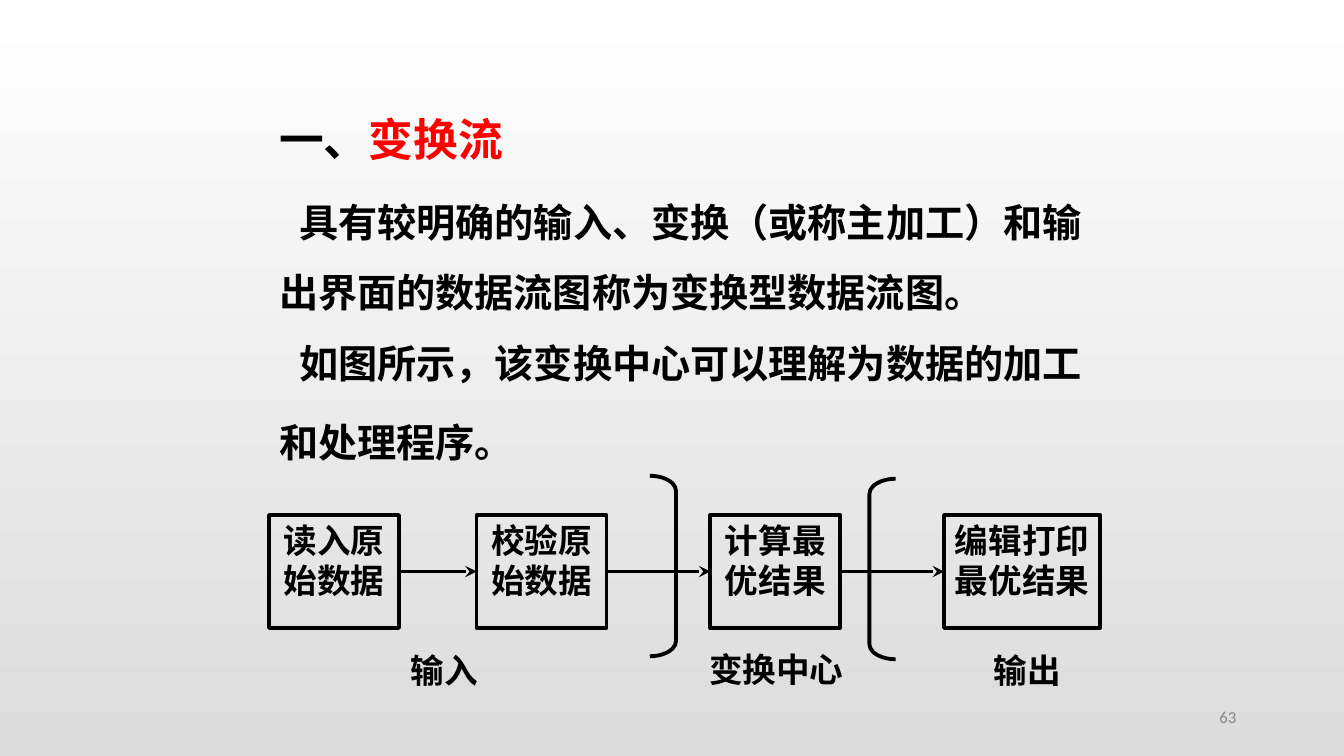
from dataclasses import dataclass

from lxml.etree import SubElement
from pptx import Presentation
from pptx.dml.color import RGBColor
from pptx.enum.shapes import MSO_CONNECTOR, MSO_SHAPE
from pptx.enum.text import MSO_ANCHOR, MSO_AUTO_SIZE, PP_ALIGN
from pptx.oxml.ns import qn
from pptx.util import Inches, Pt


@dataclass(frozen=True)
class Theme:
    ink: RGBColor = RGBColor(0, 0, 0)
    accent: RGBColor = RGBColor(0xFF, 0, 0)
    muted: RGBColor = RGBColor(0x89, 0x89, 0x89)
    backdrop: tuple = (RGBColor(0xFF, 0xFF, 0xFF), RGBColor(0xDC, 0xDC, 0xDC))
    text_font: str = "Times New Roman"
    number_font: str = "Calibri"
    heading: int = 32
    body: int = 28
    diagram: int = 24
    number: int = 12
    stroke: float = 2.75


@dataclass(frozen=True)
class Step:
    text: str
    left: float
    width: float = 1.29


@dataclass(frozen=True)
class Bracket:
    preset: MSO_SHAPE
    left: float
    top: float


@dataclass(frozen=True)
class Label:
    text: str
    left: float
    top: float
    width: float


THEME = Theme()
STEP_TOP, STEP_HEIGHT = 5.11, 1.12
BRACKET_WIDTH, BRACKET_HEIGHT, BRACKET_CURVE = 0.26, 1.79, 0.15

EXPLANATION = [
    "具有较明确的输入、变换（或称主加工）和输出界面的数据流图称为变换型数据流图。",
    "如图所示，该变换中心可以理解为数据的加工和处理程序。",
]
STEPS = [
    Step("读入原始数据", 2.67),
    Step("校验原始数据", 4.73),
    Step("计算最优结果", 7.05),
    Step("编辑打印最优结果", 9.37, 1.55),
]
BRACKETS = [
    Bracket(MSO_SHAPE.RIGHT_BRACKET, 6.45, 4.72),
    Bracket(MSO_SHAPE.LEFT_BRACKET, 8.63, 4.75),
]
LABELS = [
    Label("输入", 3.84, 6.45, 1.14),
    Label("变换中心", 6.93, 6.44, 1.55),
    Label("输出", 9.63, 6.45, 1.13),
]


def add_text(paragraph, text: str, *, size: int, color=THEME.ink,
             font=THEME.text_font, bold=True, align=PP_ALIGN.CENTER) -> None:
    paragraph.alignment = align
    run = paragraph.add_run()
    run.text = text
    run.font.name, run.font.size, run.font.bold = font, Pt(size), bold
    run.font.color.rgb = color


def place(shape, left: float, top: float, width: float, height: float) -> None:
    shape.left, shape.top = Inches(left), Inches(top)
    shape.width, shape.height = Inches(width), Inches(height)


def set_frame(shape, *, side=0.1, edge=0.05, anchor=MSO_ANCHOR.TOP):
    frame = shape.text_frame
    frame.word_wrap, frame.auto_size = True, MSO_AUTO_SIZE.NONE
    frame.vertical_anchor = anchor
    frame.margin_left = frame.margin_right = Inches(side)
    frame.margin_top = frame.margin_bottom = Inches(edge)
    return frame


def outline(shape) -> None:
    shape.shadow.inherit = False
    shape.fill.background()
    shape.line.color.rgb, shape.line.width = THEME.ink, Pt(THEME.stroke)


def draw_step(slide, step: Step):
    box = slide.shapes.add_shape(MSO_SHAPE.RECTANGLE, Inches(step.left), Inches(STEP_TOP),
                                 Inches(step.width), Inches(STEP_HEIGHT))
    outline(box)
    add_text(set_frame(box, side=0).paragraphs[0], step.text, size=THEME.diagram)
    return box


def draw_arrow(slide, source, target) -> None:
    arrow = slide.shapes.add_connector(MSO_CONNECTOR.STRAIGHT, 0, 0, 0, 0)
    arrow.begin_connect(source, 3)
    arrow.end_connect(target, 1)
    arrow.line.color.rgb, arrow.line.width = THEME.ink, Pt(THEME.stroke)
    SubElement(arrow.line._get_or_add_ln(), qn("a:tailEnd"), type="stealth")
    SubElement(arrow._element.spPr, qn("a:effectLst"))


def draw_bracket(slide, bracket: Bracket) -> None:
    shape = slide.shapes.add_shape(bracket.preset, Inches(bracket.left), Inches(bracket.top),
                                   Inches(BRACKET_WIDTH), Inches(BRACKET_HEIGHT))
    shape.adjustments[0] = BRACKET_CURVE / BRACKET_WIDTH
    outline(shape)


def draw_label(slide, label: Label) -> None:
    box = slide.shapes.add_textbox(Inches(label.left), Inches(label.top),
                                   Inches(label.width), Inches(0.45))
    add_text(set_frame(box, side=0, edge=0).paragraphs[0], label.text, size=THEME.diagram)


def write_heading(slide) -> None:
    heading = slide.shapes.title
    place(heading, 2.67, 0.79, 8.33, 0.89)
    paragraph = set_frame(heading).paragraphs[0]
    paragraph.line_spacing = 1.5
    for text, color in (("一、", THEME.ink), ("变换流", THEME.accent)):
        add_text(paragraph, text, size=THEME.heading, color=color, align=PP_ALIGN.LEFT)


def write_explanation(slide) -> None:
    explanation = slide.placeholders[1]
    place(explanation, 2.67, 1.68, 8.33, 3.01)
    frame = set_frame(explanation)
    for index, text in enumerate(EXPLANATION):
        paragraph = frame.add_paragraph() if index else frame.paragraphs[0]
        paragraph.line_spacing, paragraph.space_before = 1.5, Pt(0)
        properties = paragraph._p.get_or_add_pPr()
        properties.set("marL", "0")
        properties.set("indent", str(Inches(0.2)))
        SubElement(properties, qn("a:buNone"))
        add_text(paragraph, text, size=THEME.body, align=PP_ALIGN.LEFT)
    # A larger closing space gives the last line its extra height
    add_text(paragraph, " ", size=THEME.heading, align=PP_ALIGN.LEFT)


def main() -> None:
    deck = Presentation()
    deck.slide_width, deck.slide_height = Inches(13.34), Inches(7.5)
    slide = deck.slides.add_slide(deck.slide_layouts[1])

    # Background
    backdrop = slide.background.fill
    backdrop.gradient()
    backdrop.gradient_angle = 270
    for stop, color in zip(backdrop.gradient_stops, THEME.backdrop):
        stop.color.rgb = color

    # Heading and explanation
    write_heading(slide)
    write_explanation(slide)

    # Data flow diagram
    steps = [draw_step(slide, step) for step in STEPS]
    for source, target in zip(steps, steps[1:]):
        draw_arrow(slide, source, target)
    for bracket in BRACKETS:
        draw_bracket(slide, bracket)
    for label in LABELS:
        draw_label(slide, label)

    # Slide number
    number = slide.shapes.add_textbox(Inches(9.42), Inches(6.94), Inches(2.95), Inches(0.35))
    add_text(set_frame(number, anchor=MSO_ANCHOR.MIDDLE).paragraphs[0], "63", size=THEME.number,
             color=THEME.muted, font=THEME.number_font, bold=False, align=PP_ALIGN.RIGHT)

    deck.save("out.pptx")


if __name__ == "__main__":
    main()
